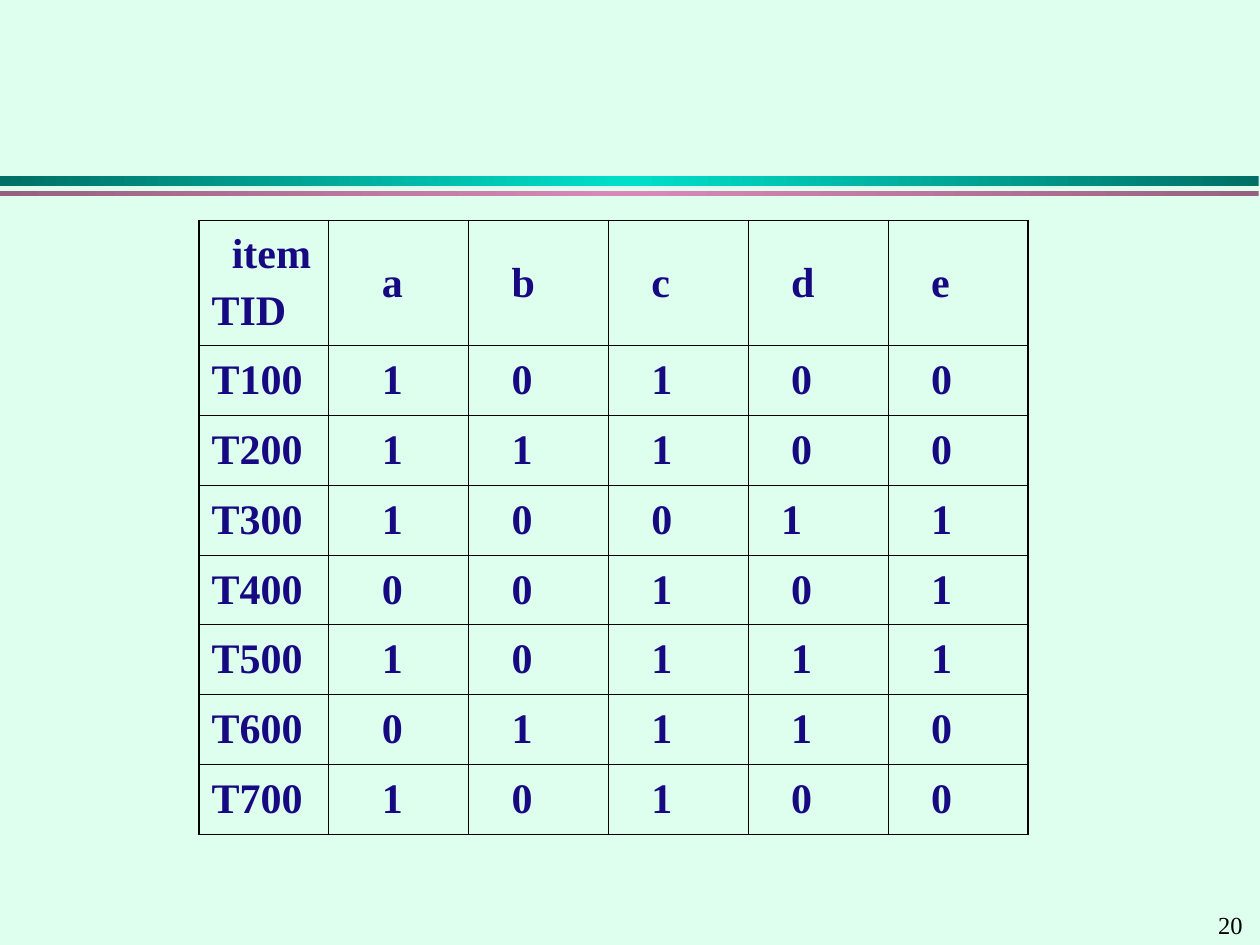
from copy import deepcopy

from lxml import etree
from pptx import Presentation
from pptx.dml.color import RGBColor
from pptx.enum.shapes import MSO_SHAPE
from pptx.enum.text import MSO_ANCHOR
from pptx.oxml.ns import qn
from pptx.util import Inches, Pt

RECT = MSO_SHAPE.RECTANGLE
MIDDLE = MSO_ANCHOR.MIDDLE
FONT = "Times New Roman"
NAVY, BLACK, MINT = "170981", "000000", "DEFEEE"
THIN, THICK = 0.45, 1.08
SPACE = 0.08  # one indent step, in inches

ROWS = [
    ["item\nTID", "a", "b", "c", "d", "e"],
    ["T100", "1", "0", "1", "0", "0"],
    ["T200", "1", "1", "1", "0", "0"],
    ["T300", "1", "0", "0", "1", "1"],
    ["T400", "0", "0", "1", "0", "1"],
    ["T500", "1", "0", "1", "1", "1"],
    ["T600", "0", "1", "1", "1", "0"],
    ["T700", "1", "0", "1", "0", "0"],
]
STEPS = [0, 4, 3, 3, 3, 3]  # indent steps per column


def color(code):
    return RGBColor.from_string(code)


def style(para, size, code, bold=False):
    for run in para.runs:
        run.font.name = FONT
        run.font.size = Pt(size)
        run.font.bold = bold
        run.font.color.rgb = color(code)


def indent(para, steps):
    props = para._p.get_or_add_pPr()
    props.set("marL", str(Inches(steps * SPACE)))
    props.set("indent", "0")


def add_bar(slide, top, height, edge, center):
    bar = slide.shapes.add_shape(
        RECT, 0, Inches(top), Inches(9.99), Inches(height))
    bar.shadow.inherit = False
    bar.line.fill.background()
    bar.fill.gradient()
    bar.fill.gradient_angle = 0
    # The default gradient has two stops; a third makes it symmetric
    stops = bar._element.spPr.find(".//" + qn("a:gsLst"))
    stops.append(deepcopy(stops[0]))
    for stop, place, code in zip(
            bar.fill.gradient_stops, (0, 0.5, 1), (edge, center, edge)):
        stop.position = place
        stop.color.rgb = color(code)


def add_border(cell, side, width):
    line = etree.SubElement(
        cell._tc.get_or_add_tcPr(), qn("a:ln" + side), w=str(Pt(width)))
    fill = etree.SubElement(line, qn("a:solidFill"))
    etree.SubElement(fill, qn("a:srgbClr"), val=BLACK)


def fill_cell(cell, text, row, col):
    cell.text_frame.text = text
    cell.vertical_anchor = MIDDLE
    for para in cell.text_frame.paragraphs:
        para.space_before = Pt(6)
        indent(para, STEPS[col])
        style(para, 24, NAVY, True)
    # Thick lines on the outside, thin lines inside
    outer = {"L": col == 0, "R": col == len(STEPS) - 1,
             "T": row == 0, "B": row == len(ROWS) - 1}
    for side, edge in outer.items():
        add_border(cell, side, THICK if edge else THIN)
    cell.fill.background()


def add_grid(slide):
    table = slide.shapes.add_table(
        len(ROWS), len(STEPS), Inches(1.58), Inches(1.75),
        Inches(6.58), Inches(4.87)).table
    table.first_row = table.horz_banding = False
    for col, column in enumerate(table.columns):
        column.width = Inches(1.11 if col else 1.03)
    for row, values in enumerate(ROWS):
        table.rows[row].height = Inches(0.555 if row else 0.99)
        for col, text in enumerate(values):
            fill_cell(table.cell(row, col), text, row, col)
    # Two entries with their own indent
    indent(table.cell(0, 0).text_frame.paragraphs[0], 2)
    indent(table.cell(3, 4).text_frame.paragraphs[0], 2)


def add_number(slide, text):
    box = slide.shapes.add_textbox(
        Inches(9.57), Inches(7.17), Inches(0.43), Inches(0.34))
    box.text_frame.text = text
    style(box.text_frame.paragraphs[0], 14, BLACK)


def main():
    prs = Presentation()
    prs.slide_width, prs.slide_height = Inches(10), Inches(7.5)
    slide = prs.slides.add_slide(prs.slide_layouts[6])
    slide.background.fill.solid()
    slide.background.fill.fore_color.rgb = color(MINT)

    # Double rule under the title area
    add_bar(slide, 1.4, 0.08, "006F65", "00DFCA")
    add_bar(slide, 1.52, 0.04, "976080", "D989B8")

    # Transactions by item, and the page number
    add_grid(slide)
    add_number(slide, "20")
    prs.save("out.pptx")


if __name__ == "__main__":
    main()
